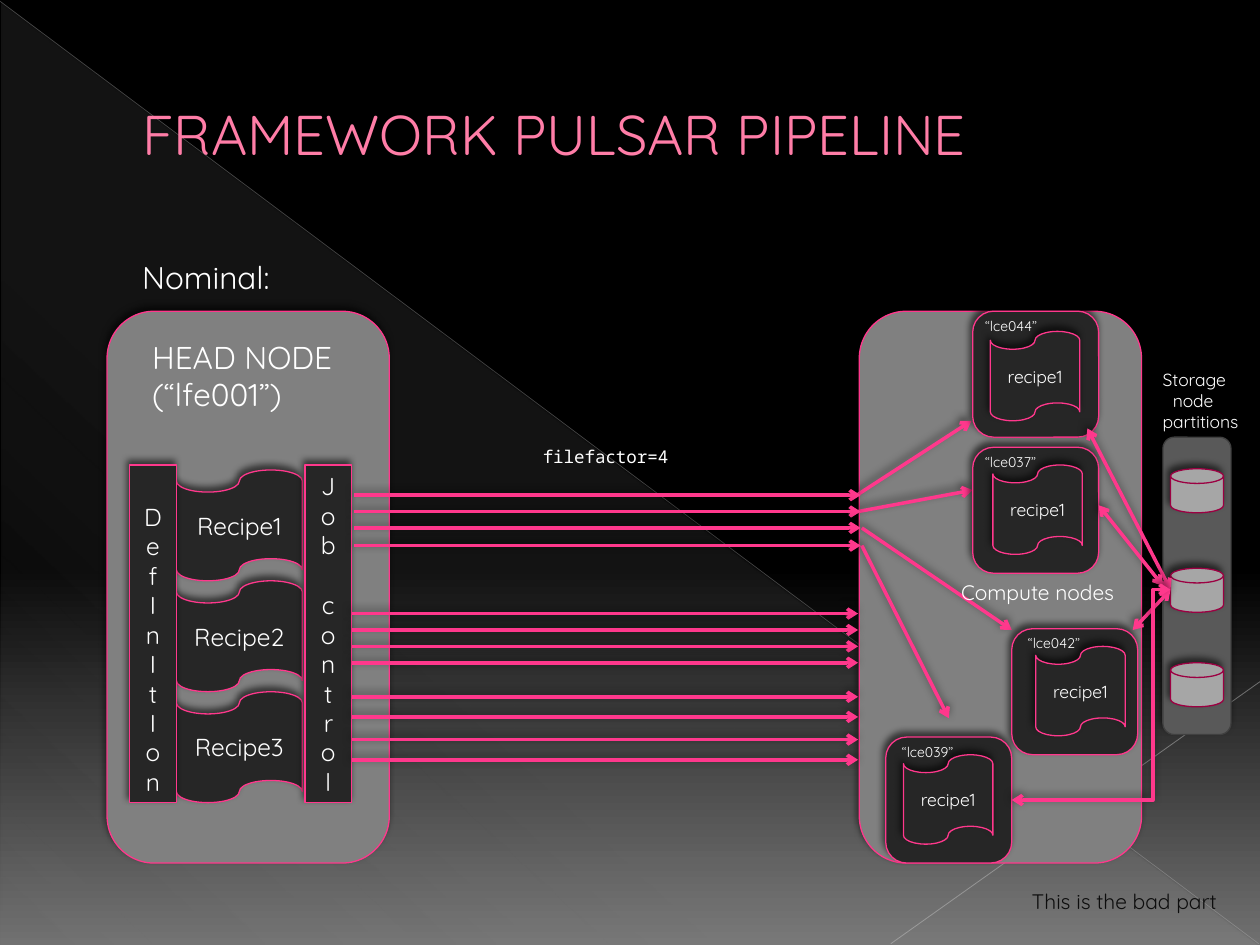
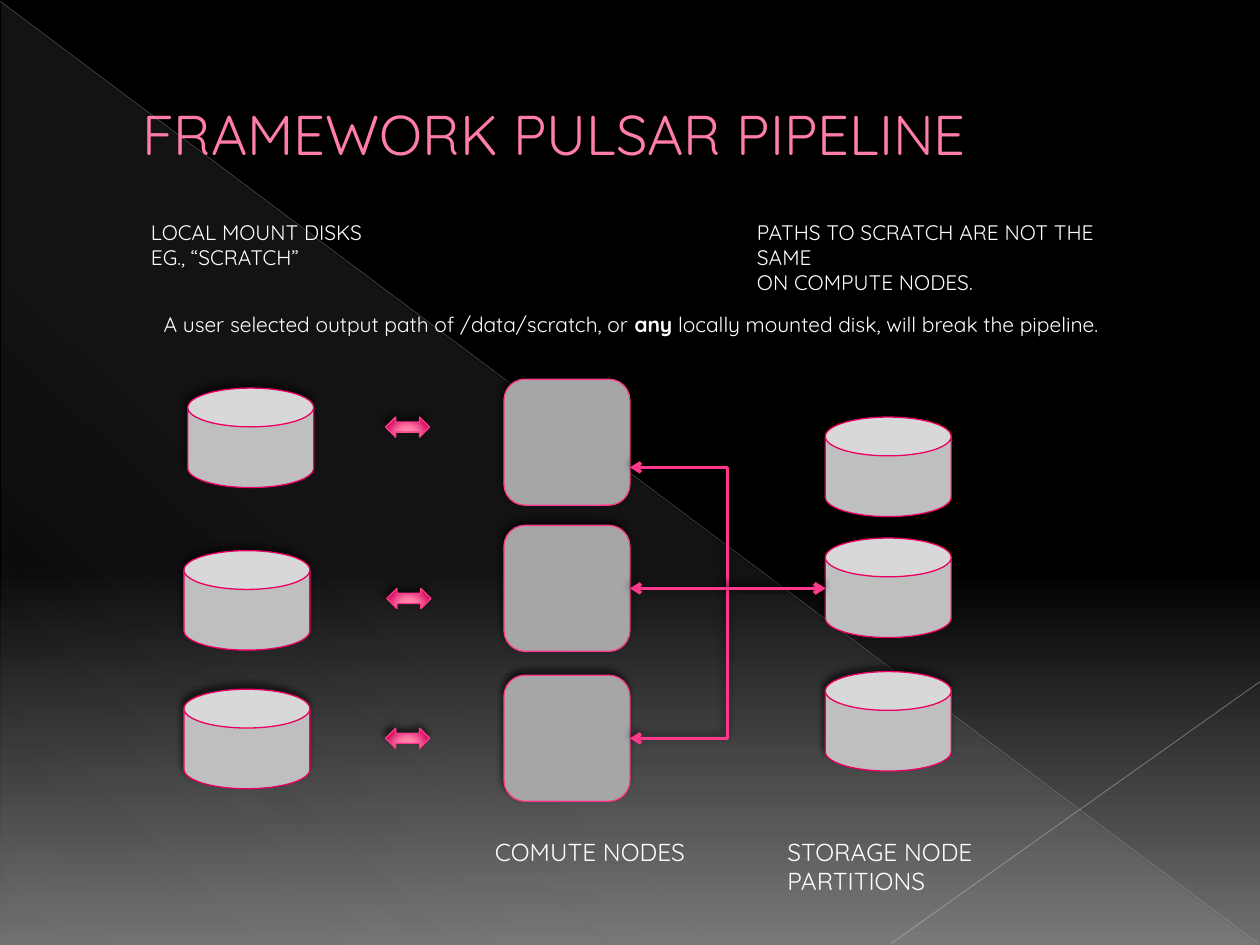
from dataclasses import dataclass

from pptx import Presentation
from pptx.dml.color import RGBColor
from pptx.enum.shapes import MSO_CONNECTOR, MSO_SHAPE
from pptx.enum.text import MSO_ANCHOR, PP_ALIGN
from pptx.oxml import parse_xml
from pptx.oxml.ns import nsdecls, qn
from pptx.util import Emu, Inches, Pt

SLIDE_WIDTH, SLIDE_HEIGHT = Inches(10), Inches(7.5)
COLUMN, ROW = SLIDE_WIDTH / 100, SLIDE_HEIGHT / 75

BLACK = RGBColor(0x00, 0x00, 0x00)
WHITE = RGBColor(0xFF, 0xFF, 0xFF)
INK = RGBColor(0x0D, 0x0D, 0x0D)
CHARCOAL = RGBColor(0x26, 0x26, 0x26)
DARK_GREY = RGBColor(0x40, 0x40, 0x40)
SLATE = RGBColor(0x59, 0x59, 0x59)
HORIZON = RGBColor(0x70, 0x70, 0x70)
PANEL_GREY = RGBColor(0x80, 0x80, 0x80)
NODE_GREY = RGBColor(0xA6, 0xA6, 0xA6)
DISK_GREY = RGBColor(0xBF, 0xBF, 0xBF)
RAY_GREY = RGBColor(0xC6, 0xC6, 0xC6)
VEIL = RGBColor(0xD2, 0xD2, 0xD2)
PINK = RGBColor(0xFF, 0x38, 0x8C)
TITLE_PINK = RGBColor(0xFF, 0x7D, 0xA7)
PALE_PINK = RGBColor(0xFF, 0xAF, 0xC5)
MID_PINK = RGBColor(0xFF, 0x75, 0xA3)
DEEP_PINK = RGBColor(0xD1, 0x00, 0x58)
CRIMSON = RGBColor(0xE9, 0x00, 0x62)
MAROON = RGBColor(0x9C, 0x00, 0x42)

BODY_FONT, CODE_FONT = "Quicksand", "Noto Sans Mono"
LETTER_ROW = Pt(17.5)


@dataclass
class Box:
    """A region measured in grid columns and rows."""
    left: float
    top: float
    width: float
    height: float

    def area(self, left, top, width, height):
        """Return a region placed from this one's top left corner."""
        return Box(self.left + left, self.top + top, width, height)

    def point(self, left, top):
        """Return a grid point measured from the top left corner."""
        return self.left + left, self.top + top

    def lengths(self):
        """Return left, top, width and height in slide units."""
        return (Emu(round(self.left * COLUMN)), Emu(round(self.top * ROW)),
                Emu(round(self.width * COLUMN)), Emu(round(self.height * ROW)))


PAGE = Box(0, 0, 100, 75)


def paint_gradient(parent, stops, direction):
    """Replace a parent's solid fill by a gradient of (share, colour, opacity)."""
    marks = "".join(
        f'<a:gs pos="{share * 1000}"><a:srgbClr val="{color}">'
        f'<a:alpha val="{opacity * 1000}"/></a:srgbClr></a:gs>'
        for share, color, opacity in stops)
    gradient = parse_xml(f'<a:gradFill {nsdecls("a")} rotWithShape="1">'
                         f'<a:gsLst>{marks}</a:gsLst>{direction}</a:gradFill>')
    parent.replace(parent.find(qn("a:solidFill")), gradient)


def cast_shadow(item, opacity, blur, distance):
    """Give a shape or connector a soft black shadow."""
    properties = item.element.spPr
    for effects in properties.findall(qn("a:effectLst")):
        properties.remove(effects)
    properties.append(parse_xml(
        f'<a:effectLst {nsdecls("a")}><a:outerShdw blurRad="{Pt(blur)}" '
        f'dist="{Pt(distance)}" dir="14700000" rotWithShape="0">'
        f'<a:srgbClr val="{BLACK}"><a:alpha val="{opacity * 1000}"/>'
        f'</a:srgbClr></a:outerShdw></a:effectLst>'))


def write_span(para, text, size, color=WHITE, font=BODY_FONT, bold=False):
    """Add one run to a paragraph."""
    span = para.add_run()
    span.text = text
    span.font.size, span.font.name, span.font.bold = Pt(size), font, bold
    span.font.color.rgb = color


def write_lines(frame, lines, size, color=WHITE, font=BODY_FONT, align=PP_ALIGN.LEFT):
    """Write one paragraph for each line."""
    frame.word_wrap = True
    for index, line in enumerate(lines):
        para = frame.add_paragraph() if index else frame.paragraphs[0]
        para.alignment = align
        write_span(para, line, size, color, font)


def add_label(page, box, lines, size, color=WHITE, font=BODY_FONT):
    """Add a text box and return its text frame."""
    frame = page.shapes.add_textbox(*box.lengths()).text_frame
    write_lines(frame, lines, size, color, font)
    return frame


def add_block(page, kind, box, fill, line=PINK, lines=(), size=14):
    """Add an outlined, shadowed shape with centred text."""
    shape = page.shapes.add_shape(kind, *box.lengths())
    shape.fill.solid()
    shape.fill.fore_color.rgb = fill
    shape.line.color.rgb = line
    shape.line.width = Pt(0.75)
    shape.shadow.inherit = False
    cast_shadow(shape, 60, 4, 3)
    shape.text_frame.vertical_anchor = MSO_ANCHOR.MIDDLE
    write_lines(shape.text_frame, lines, size, align=PP_ALIGN.CENTER)
    return shape


def add_line(page, start, end, color, width, kind=MSO_CONNECTOR.STRAIGHT):
    """Add a plain connector between two grid points."""
    ends = [Emu(round(value * unit)) for point in (start, end)
            for value, unit in zip(point, (COLUMN, ROW))]
    line = page.shapes.add_connector(kind, *ends)
    line.line.color.rgb = color
    line.line.width = Pt(width)
    line.element.spPr.append(parse_xml(f'<a:effectLst {nsdecls("a")}/>'))
    return line


def add_arrow(page, start, end, both=False, bend=None):
    """Add a pink arrow, elbowed at a share of its width when bend is given."""
    kind = MSO_CONNECTOR.ELBOW if bend else MSO_CONNECTOR.STRAIGHT
    arrow = add_line(page, start, end, PINK, 2, kind)
    cast_shadow(arrow, 50, 5, 2)
    properties = arrow.element.spPr
    for tag in ("headEnd", "tailEnd") if both else ("tailEnd",):
        properties.find(qn("a:ln")).append(
            parse_xml(f'<a:{tag} {nsdecls("a")} type="arrow"/>'))
    if bend:
        geometry = properties.find(qn("a:prstGeom"))
        for guides in geometry.findall(qn("a:avLst")):
            geometry.remove(guides)
        geometry.append(parse_xml(
            f'<a:avLst {nsdecls("a")}><a:gd name="adj1" '
            f'fmla="val {round(bend * 100000)}"/></a:avLst>'))
    return arrow


def add_backdrop(page, box):
    """Paint the background, the veil, the two rays and the title."""
    page.background.fill.solid()
    paint_gradient(page.element.find(".//" + qn("p:bgPr")),
                   [(0, BLACK, 100), (60, BLACK, 100), (100, HORIZON, 100)],
                   '<a:lin ang="5400000" scaled="0"/>')
    veil = page.shapes.add_shape(MSO_SHAPE.RIGHT_TRIANGLE,
                                 *box.area(0.1, 0.2, 99.8, 74.8).lengths())
    veil.shadow.inherit = False
    veil.line.fill.background()
    veil.fill.solid()
    paint_gradient(veil.element.spPr, [(0, VEIL, 10), (70, VEIL, 8), (100, VEIL, 1)],
                   '<a:lin ang="7980000" scaled="0"/>')
    for start, end, color, width, opacity in (
            ((0, 0.1), (99.9, 74.9), DISK_GREY, 0.39, 35),
            ((100, 54.1), (70.7, 74.9), RAY_GREY, 0.47, 45)):
        ray = add_line(page, box.point(*start), box.point(*end), color, width)
        tint = ray.element.spPr.find(".//" + qn("a:srgbClr"))
        tint.append(parse_xml(f'<a:alpha {nsdecls("a")} val="{opacity * 1000}"/>'))
    title = add_label(page, box.area(10.3, 2.9, 84.7, 15.3),
                      ["FRAMEWORK PULSAR PIPELINE"], 32, TITLE_PINK)
    title.vertical_anchor = MSO_ANCHOR.MIDDLE


def add_head_node(page, box):
    """Place the head node with its recipes between two letter columns."""
    add_block(page, MSO_SHAPE.ROUNDED_RECTANGLE, box, PANEL_GREY)
    add_label(page, box.area(2.6, 1.6, 18, 7.1), ["HEAD NODE", "(“lfe001”)"], 18)
    for index in range(3):
        add_block(page, MSO_SHAPE.FLOWCHART_PUNCHED_TAPE,
                  box.area(5.5, 12.6 + 8.8 * index, 10, 8.8), CHARCOAL,
                  lines=[f"Recipe{index + 1}"])
    job = add_block(page, MSO_SHAPE.RECTANGLE, box.area(15.7, 12.2, 3.7, 26.8),
                    CHARCOAL, lines=["Job", "cont", "ro", "l"])
    job.text_frame.paragraphs[1].space_before = LETTER_ROW
    definition = add_block(page, MSO_SHAPE.RECTANGLE, box.area(1.8, 12.2, 3.7, 26.8),
                           CHARCOAL, lines=["Def", "I", "n", "I", "t", "I", "on"])
    definition.text_frame.margin_top += LETTER_ROW


def add_job_arrows(page, box):
    """Draw three groups of four arrows across the box."""
    groups = ((0.2, (0, 1.3, 2.6, 4)), (0, (9.4, 10.7, 12, 13.3)),
              (0, (16, 17.6, 19.4, 21)))
    for shift, rows in groups:
        for row in rows:
            add_arrow(page, box.point(shift, row), box.point(box.width + shift, row))
    add_label(page, box.area(14.2, -4.4, 13, 2.7), ["filefactor=4"], 10, font=CODE_FONT)


def add_compute_node(page, box, name, label_left, tape_left, tape_top):
    """Place one compute node with its recipe and host name."""
    add_block(page, MSO_SHAPE.ROUNDED_RECTANGLE, box, CHARCOAL)
    add_block(page, MSO_SHAPE.FLOWCHART_PUNCHED_TAPE,
              box.area(tape_left, tape_top, 7.1, 7.1), CHARCOAL,
              lines=["recipe1"], size=10)
    add_label(page, box.area(label_left, 0, 7.5, 2.4), [f"“{name}”"], 8)


def add_compute_panel(page, box):
    """Place the compute panel, its incoming arrows and four nodes."""
    add_block(page, MSO_SHAPE.ROUNDED_RECTANGLE, box, PANEL_GREY)
    for start, end in (((-0.2, 14.6), (8.9, 8.7)), ((-0.1, 15.9), (9, 14.2)),
                       ((0.2, 17.2), (12.1, 25.3)), ((0.2, 18.6), (7.1, 32.3))):
        add_arrow(page, box.point(*start), box.point(*end))
    for name, left, top, label_left, tape_left, tape_top in (
            ("lce044", 9, 0, 0, 1.4, 1.6), ("lce037", 9, 10.8, 0, 1.6, 1.4),
            ("lce042", 12.1, 25.2, 0.3, 1.9, 1.4), ("lce039", 2.1, 33.8, 0.3, 1.4, 1.4)):
        add_compute_node(page, box.area(left, top, 10, 10), name,
                         label_left, tape_left, tape_top)
    add_label(page, box.area(7.1, 20.8, 16, 3), ["Compute nodes"], 12)


def add_storage(page, box):
    """Place the storage rack, its disks and the arrows to the nodes."""
    frame = add_label(page, box.area(-1, -5.9, 9, 6.1),
                      ["Storage", "node", "partitions"], 10)
    frame.paragraphs[1]._p.get_or_add_pPr().set("marL", str(Inches(0.08)))
    add_block(page, MSO_SHAPE.ROUNDED_RECTANGLE, box, SLATE, DARK_GREY)
    for row in (2.5, 10.4, 17.9):
        add_block(page, MSO_SHAPE.FLOWCHART_MAGNETIC_DISK,
                  box.area(0.6, row, 4.2, 3.5), NODE_GREY, MAROON)
    hub = box.point(0.6, 12.1)
    for start, end, bend in (((-6, -0.7), hub, None),
                             ((-5.1, 5.4), box.point(0, 11.8), None),
                             ((-2.4, 15.3), hub, None), ((-12, 28.8), hub, 0.89)):
        add_arrow(page, box.point(*start), end, True, bend)


def add_can(page, box):
    """Place one large disk."""
    can = add_block(page, MSO_SHAPE.CAN, box, DISK_GREY, CRIMSON)
    can.adjustments[0] = 0.39


def add_local_disks(page, box):
    """Place the local disks and the two-way block arrows beside them."""
    for left, top in ((0.3, 0), (0, 12.9), (0, 23.9)):
        add_can(page, box.area(left, top, 10, 7.9))
    for left, top in ((16, 2.3), (16.1, 15.9), (16, 27)):
        exchange = add_block(page, MSO_SHAPE.LEFT_RIGHT_ARROW,
                             box.area(left, top, 3.5, 1.6), MID_PINK)
        paint_gradient(exchange.element.spPr,
                       [(0, PALE_PINK, 100), (46, MID_PINK, 100), (100, DEEP_PINK, 100)],
                       '<a:path path="circle"><a:fillToRect l="50000" t="155000" '
                       'r="50000" b="-55000"/></a:path>')


def add_shared_storage(page, box):
    """Place the compute nodes and the storage disks they share."""
    for top in (3, 12.6, 23.2):
        add_can(page, box.area(25.5, top, 10, 7.9))
    nodes = [add_block(page, MSO_SHAPE.ROUNDED_RECTANGLE, box.area(0, top, 10, 10), NODE_GREY)
             for top in (0, 11.6, 23.5)]
    hub = box.point(25.5, 16.6)
    for row in (7, 28.5):
        add_arrow(page, box.point(10, row), hub, True, 0.5)
    add_arrow(page, box.point(10, 16.6), hub, True).begin_connect(nodes[1], 3)
    add_label(page, box.area(-1.7, 35.8, 19, 3.4), ["COMUTE NODES"], 14)
    add_label(page, box.area(21.5, 35.8, 24, 6), ["STORAGE NODE PARTITIONS"], 14)


def add_scratch_notes(page, box):
    """Write the notes about local scratch disks."""
    add_label(page, box.area(0, 0, 22, 5), ["LOCAL MOUNT DISKS", "EG., “SCRATCH”"], 12)
    add_label(page, box.area(48.1, 0, 31, 7),
              ["PATHS TO SCRATCH ARE NOT THE SAME", "ON COMPUTE NODES."], 12)
    warning = add_label(page, box.area(1, 7.3, 83, 3),
                        ["A user selected output path of /data/scratch, or "], 12)
    write_span(warning.paragraphs[0], "any ", 12, bold=True)
    write_span(warning.paragraphs[0], "locally mounted disk, will break the pipeline.", 12)


def build_nominal_slide(page):
    """Show the head node feeding the compute nodes and storage."""
    add_backdrop(page, PAGE)
    add_label(page, PAGE.area(10.3, 20, 14, 4), ["Nominal:"], 18)
    add_head_node(page, PAGE.area(8.5, 24.7, 22.4, 43.8))
    add_compute_panel(page, PAGE.area(68.2, 24.7, 22.4, 43.8))
    add_job_arrows(page, PAGE.area(27.9, 39.3, 40.2, 21))
    add_storage(page, PAGE.area(92.3, 34.7, 5.4, 23.6))
    add_label(page, PAGE.area(80.9, 70, 18, 3), ["This is the bad part"], 12, INK)


def build_scratch_slide(page):
    """Show why local scratch disks break the pipeline."""
    add_backdrop(page, PAGE)
    add_scratch_notes(page, PAGE.area(11, 16.9, 84, 10.3))
    add_local_disks(page, PAGE.area(14.6, 30.8, 19.6, 31.8))
    add_shared_storage(page, PAGE.area(40, 30.1, 45, 42))


def main():
    """Build the deck and save it."""
    deck = Presentation()
    deck.slide_width, deck.slide_height = SLIDE_WIDTH, SLIDE_HEIGHT
    for build in (build_nominal_slide, build_scratch_slide):
        build(deck.slides.add_slide(deck.slide_layouts[6]))
    deck.save("out.pptx")


if __name__ == "__main__":
    main()
